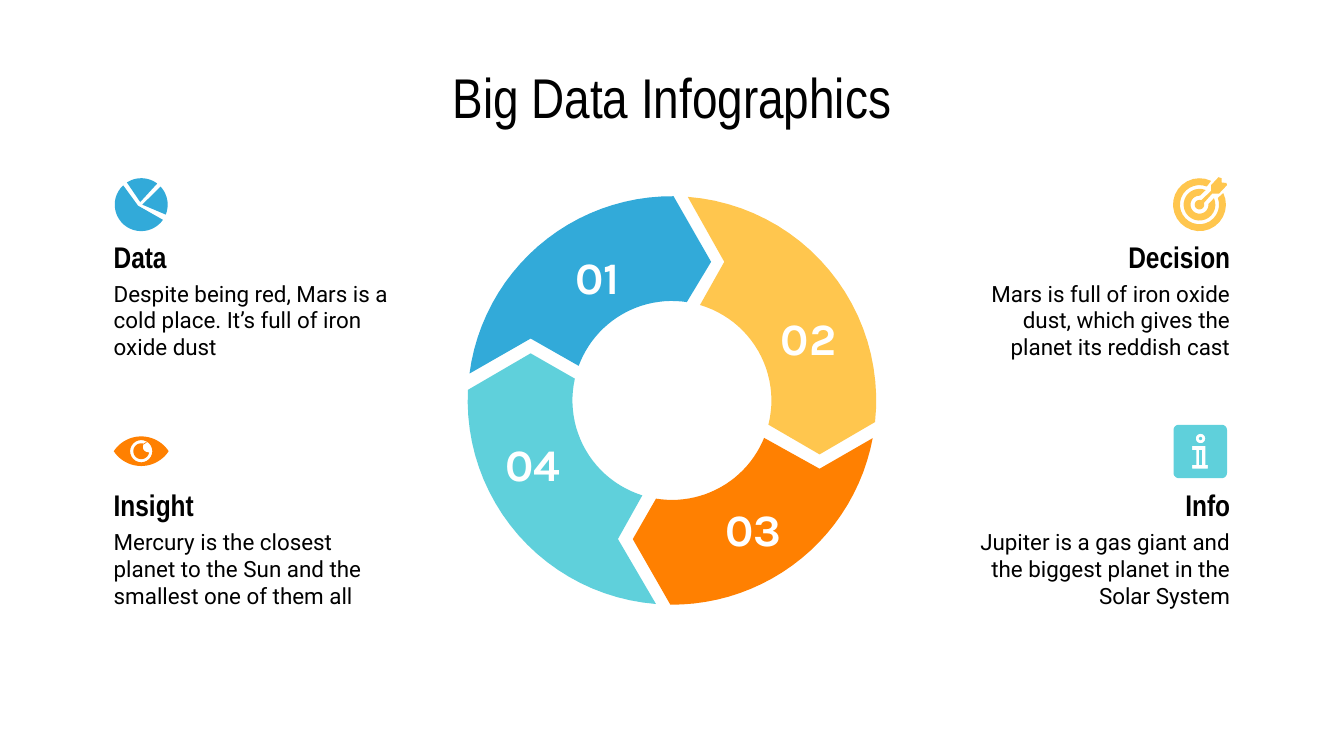
from dataclasses import dataclass
from math import atan2, cos, degrees, radians, sin

from pptx import Presentation
from pptx.dml.color import RGBColor
from pptx.enum.text import MSO_ANCHOR, MSO_AUTO_SIZE, PP_ALIGN
from pptx.util import Cm, Pt

LEFT, CENTER, RIGHT = PP_ALIGN.LEFT, PP_ALIGN.CENTER, PP_ALIGN.RIGHT
MIDDLE = MSO_ANCHOR.MIDDLE
NO_AUTOFIT = MSO_AUTO_SIZE.NONE
TITLE_ONLY = 5


@dataclass(frozen=True)
class Theme:
    blue: str = "32AAD9"
    yellow: str = "FFC64E"
    orange: str = "FF8001"
    teal: str = "5FD0DB"
    black: str = "000000"
    white: str = "FFFFFF"
    heading_font: str = "Arial Narrow"
    body_font: str = "Roboto"
    number_font: str = "Karla"
    title_size: int = 30
    heading_size: int = 16
    body_size: int = 12
    number_size: int = 24


THEME = Theme()

# Ring geometry in cm
RING_CENTER = (12.7, 7.57)
OUTER_RADIUS, INNER_RADIUS = 3.86, 1.88

# Colour, start edge and end edge (outer, middle, inner), number and its box
SEGMENTS = [
    (THEME.yellow, [(13, 3.71), (13.69, 4.95), (13.23, 5.77)],
     [(16.54, 7.98), (15.49, 8.59), (14.53, 8.03)], "02", (14.43, 5.99)),
    (THEME.orange, [(16.48, 8.28), (15.49, 8.86), (14.45, 8.28)],
     [(12.67, 11.43), (11.96, 10.19), (12.4, 9.42)], "03", (13.39, 9.6)),
    (THEME.teal, [(12.4, 11.4), (11.68, 10.19), (12.14, 9.37)],
     [(8.84, 7.37), (10.03, 6.68), (10.87, 7.16)], "04", (9.22, 8.36)),
    (THEME.blue, [(8.86, 7.06), (10.03, 6.4), (10.92, 6.91)],
     [(12.73, 3.71), (13.44, 4.95), (12.98, 5.72)], "01", (10.44, 4.83)),
]

# Heading, text, row top, alignment
TOPICS = [
    ("Data", "Despite being red, Mars is a cold place. It’s full of iron oxide dust",
     4.45, LEFT),
    ("Insight", "Mercury is the closest planet to the Sun and the smallest one of them all",
     9.15, LEFT),
    ("Decision", "Mars is full of iron oxide dust, which gives the planet its reddish cast",
     4.45, RIGHT),
    ("Info", "Jupiter is a gas giant and the biggest planet in the Solar System",
     9.15, RIGHT),
]
LEFT_EDGE, RIGHT_EDGE = 1.9, 23.5


def arc(center, radius, start=0, end=360, steps=24):
    """Points on a circle; angles in degrees, clockwise from the right."""
    angles = [radians(start + (end - start) * i / steps) for i in range(steps + 1)]
    return [(center[0] + radius * cos(a), center[1] + radius * sin(a)) for a in angles]


def angle_of(point):
    return degrees(atan2(point[1] - RING_CENTER[1], point[0] - RING_CENTER[0]))


def add_outline(shapes, color, *contours):
    """Filled freeform; inner contours become holes."""
    builder = None
    for contour in contours:
        points = [(Cm(x), Cm(y)) for x, y in contour]
        if builder is None:
            builder = shapes.build_freeform(*points[0], scale=1.0)
        else:
            builder.move_to(*points[0])
        builder.add_line_segments(points[1:], close=True)
    outline = builder.convert_to_shape()
    outline.shadow.inherit = False
    outline.fill.solid()
    outline.fill.fore_color.rgb = RGBColor.from_string(color)
    outline.line.fill.background()


def write_text(holder, text, *, font, size, color=THEME.black, bold=False, align=LEFT):
    frame = holder.text_frame
    frame.word_wrap = True
    frame.auto_size = NO_AUTOFIT
    frame.vertical_anchor = MIDDLE
    frame.margin_left = frame.margin_right = Cm(0.25)
    frame.margin_top = frame.margin_bottom = Cm(0.25)
    paragraph = frame.paragraphs[0]
    paragraph.alignment = align
    run = paragraph.add_run()
    run.text = text
    run.font.name, run.font.size, run.font.bold = font, Pt(size), bold
    run.font.color.rgb = RGBColor.from_string(color)


def add_text(slide, text, left, top, width, height, **style):
    box = slide.shapes.add_textbox(Cm(left), Cm(top), Cm(width), Cm(height))
    write_text(box, text, **style)


def add_title(slide, text):
    title = slide.shapes.title
    title.left, title.top = Cm(1.27), Cm(1.14)
    title.width, title.height = Cm(22.86), Cm(1.35)
    write_text(title, text, font=THEME.heading_font, size=THEME.title_size, align=CENTER)


def add_segment(slide, color, start_edge, end_edge):
    def sweep(start, end):
        first, last = angle_of(start), angle_of(end)
        return first, last if last > first else last + 360

    outer = arc(RING_CENTER, OUTER_RADIUS, *sweep(start_edge[0], end_edge[0]))
    inner = arc(RING_CENTER, INNER_RADIUS, *sweep(start_edge[2], end_edge[2]))
    add_outline(slide.shapes, color,
                [start_edge[1], *outer, end_edge[1], *reversed(inner)])


def add_topic(slide, heading, text, top, align):
    heading_width, text_width = 5.44, 5.82 if align == LEFT else 5.54

    def left_for(width):
        return LEFT_EDGE if align == LEFT else RIGHT_EDGE - width

    add_text(slide, heading, left_for(heading_width), top, heading_width, 0.79,
             font=THEME.heading_font, size=THEME.heading_size, bold=True, align=align)
    add_text(slide, text, left_for(text_width), top + 0.8, text_width, 1.6,
             font=THEME.body_font, size=THEME.body_size, align=align)


def add_pie_icon(shapes):
    center = (2.67, 3.87)
    for apex, start, end in [((2.61, 3.89), 35, 227), ((2.65, 3.82), 237, 307),
                             ((2.69, 3.87), -43, 22)]:
        add_outline(shapes, THEME.blue, [apex, *arc(center, 0.5, start, end)])


def add_target_icon(shapes):
    center = (22.67, 3.87)
    arrow = [(22.71, 3.78), (22.89, 3.61), (22.89, 3.5), (23.03, 3.35), (23.09, 3.37),
             (23.09, 3.45), (23.18, 3.46), (23.19, 3.5), (23.04, 3.66), (22.91, 3.66),
             (22.76, 3.83)]
    add_outline(shapes, THEME.yellow, arrow + arc(center, 0.09, -20, 295))
    for outer, inner, outer_span, inner_span in [(0.3, 0.17, (-24, 293), (272, -5)),
                                                 (0.5, 0.37, (-26, 296), (292, -20))]:
        add_outline(shapes, THEME.yellow,
                    arc(center, outer, *outer_span) + arc(center, inner, *inner_span))


def add_eye_icon(shapes):
    x, y = center = (2.67, 8.53)
    lids = arc((x, y + 0.34), 0.62, 213, 327) + arc((x, y - 0.34), 0.62, 33, 147)
    add_outline(shapes, THEME.orange, lids, arc(center, 0.21))
    glint = arc((2.8, 8.45), 0.1, 260, 90)
    add_outline(shapes, THEME.orange, arc(center, 0.15, 10, 295) + glint)


def add_info_icon(shapes):
    left, top, right, bottom, radius = 22.18, 8.03, 23.19, 9.04, 0.1
    corners = [(right - radius, bottom - radius), (left + radius, bottom - radius),
               (left + radius, top + radius), (right - radius, top + radius)]
    tile = [point for i, corner in enumerate(corners)
            for point in arc(corner, radius, 90 * i, 90 * (i + 1), steps=6)]
    dot = (22.69, 8.29)
    stem = [(22.53, 8.43), (22.78, 8.43), (22.78, 8.79), (22.83, 8.79), (22.83, 8.86),
            (22.53, 8.86), (22.53, 8.79), (22.61, 8.79), (22.61, 8.51), (22.53, 8.51)]
    add_outline(shapes, THEME.teal, tile, arc(dot, 0.09), stem)
    add_outline(shapes, THEME.teal, arc(dot, 0.03))
    add_outline(shapes, THEME.teal,
                [(22.66, 8.51), (22.71, 8.51), (22.71, 8.79), (22.66, 8.79)])


def main():
    deck = Presentation()
    deck.slide_width, deck.slide_height = Cm(25.4), Cm(14.29)
    slide = deck.slides.add_slide(deck.slide_layouts[TITLE_ONLY])
    add_title(slide, "Big Data Infographics")

    # Ring of four arrows with their numbers
    for color, start_edge, end_edge, number, (left, top) in SEGMENTS:
        add_segment(slide, color, start_edge, end_edge)
        add_text(slide, number, left, top, 1.7, 0.79, font=THEME.number_font,
                 size=THEME.number_size, color=THEME.white, bold=True, align=CENTER)

    # Topics at both sides
    for topic in TOPICS:
        add_topic(slide, *topic)

    # One group for each icon
    for add_icon in (add_pie_icon, add_target_icon, add_eye_icon, add_info_icon):
        add_icon(slide.shapes.add_group_shape().shapes)

    deck.save("out.pptx")


if __name__ == "__main__":
    main()
